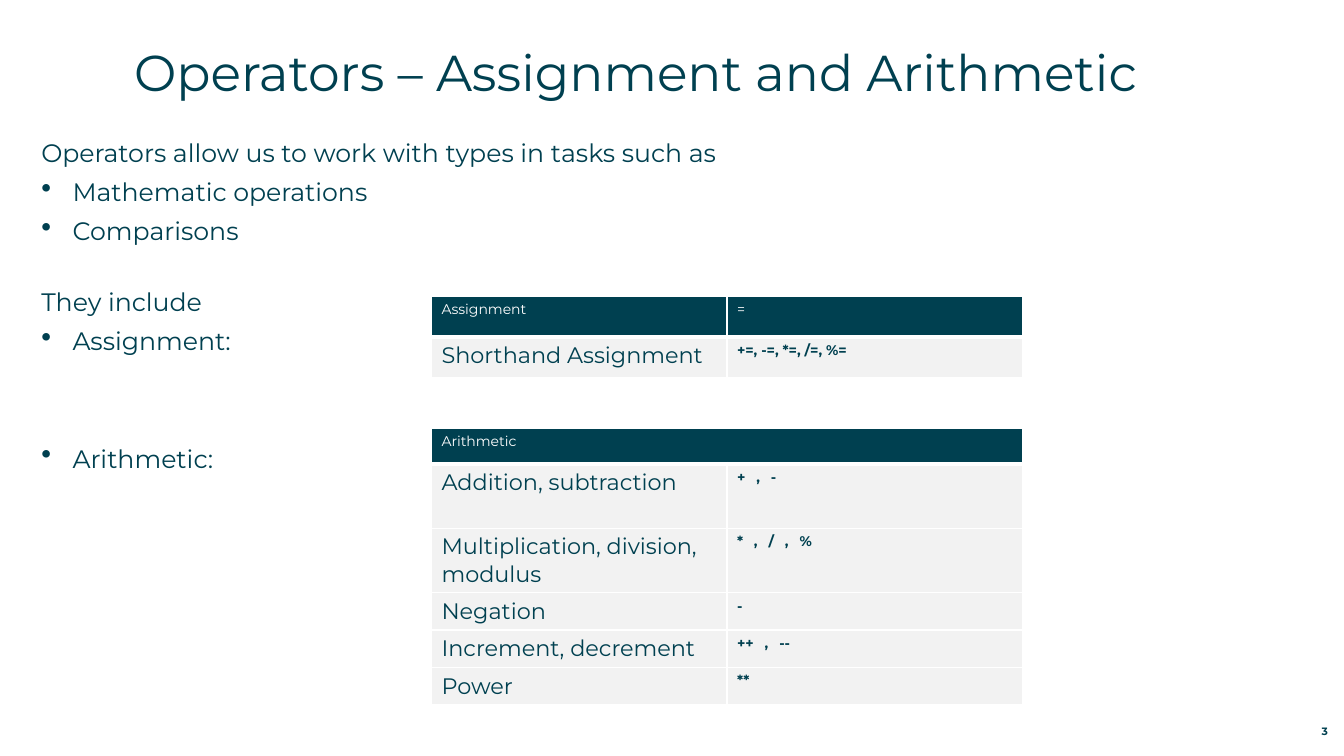
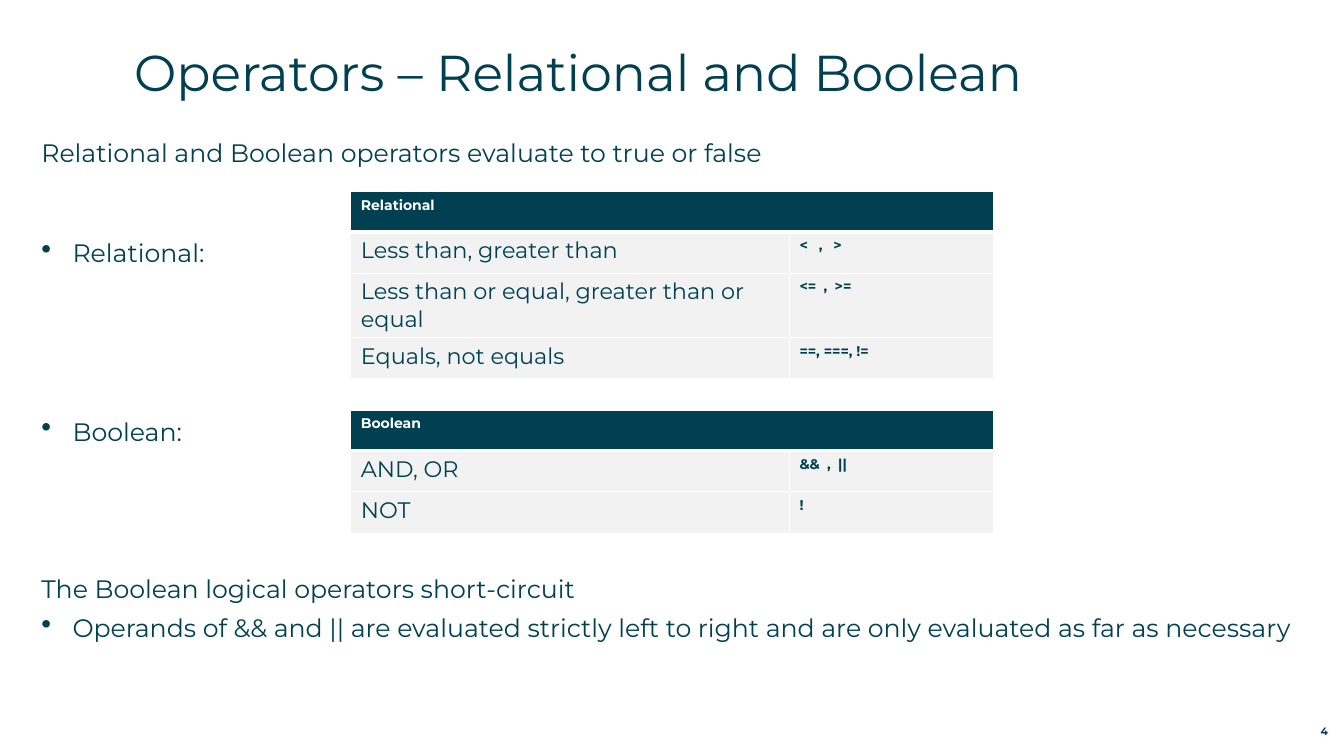
from dataclasses import dataclass

from lxml.etree import SubElement
from pptx import Presentation
from pptx.dml.color import RGBColor
from pptx.enum.text import MSO_ANCHOR, MSO_AUTO_SIZE, PP_ALIGN
from pptx.oxml.ns import qn
from pptx.util import Inches, Pt


@dataclass(frozen=True)
class Theme:
    font: str = "Montserrat"
    ink: str = "004050"
    paper: str = "FFFFFF"
    row: str = "F2F2F2"
    title: float = 36
    body: float = 18
    label: float = 16
    small: float = 10
    number: float = 7.6
    after: float = 6.5
    indent: float = 0.31


THEME = Theme()
WIDE, NARROW = 5, 2.5  # extra points after a space between operators


def add_run(para, text, size, color=THEME.ink, bold=False, gap=0):
    run = para.add_run()
    run.text = text
    font = run.font
    font.name, font.size, font.bold = THEME.font, Pt(size), bold
    font.color.rgb = RGBColor.from_string(color)
    if gap:
        font._element.set("spc", str(int(gap * 100)))


def add_signs(para, text, gap):
    """Write operators in bold, with the spaces between them widened by gap."""
    for i, sign in enumerate(text.split(" ")):
        if i:
            add_run(para, " ", THEME.small, bold=True, gap=gap)
        add_run(para, sign, THEME.small, bold=True)


def set_frame(shape, anchor=MSO_ANCHOR.TOP):
    frame = shape.text_frame
    frame.word_wrap = True
    frame.auto_size = MSO_AUTO_SIZE.NONE
    frame.vertical_anchor = anchor
    frame.margin_left = frame.margin_right = 0
    frame.margin_top = frame.margin_bottom = 0
    return frame


def add_box(slide, left, top, width, height, anchor=MSO_ANCHOR.TOP):
    box = slide.shapes.add_textbox(
        Inches(left), Inches(top), Inches(width), Inches(height))
    return set_frame(box, anchor)


def add_bullet(para):
    props = para._p.get_or_add_pPr()
    props.set("marL", str(Inches(THEME.indent)))
    props.set("indent", str(-Inches(THEME.indent)))
    SubElement(props, qn("a:buSzPct"), val="115000")
    SubElement(props, qn("a:buChar"), char="•")


def add_body(slide, lines):
    """Write lines of (text, is bullet, points of space before)."""
    frame = add_box(slide, 0.41, 1.36, 12.5, 5.73)
    for i, (text, bullet, before) in enumerate(lines):
        para = frame.add_paragraph() if i else frame.paragraphs[0]
        if bullet:
            add_bullet(para)
        if before:
            para.space_before = Pt(before)
        para.space_after = Pt(THEME.after)
        add_run(para, text, THEME.body)


def set_cell(cell, fill, base):
    """Give a cell its fill and white borders, the bottom one base points wide."""
    props = cell._tc.get_or_add_tcPr()
    for side, width in (("L", 1), ("R", 1), ("T", 1), ("B", base)):
        line = SubElement(props, qn(f"a:ln{side}"), w=str(Pt(width)))
        solid = SubElement(line, qn("a:solidFill"))
        SubElement(solid, qn("a:srgbClr"), val=THEME.paper)
    cell.fill.solid()
    cell.fill.fore_color.rgb = RGBColor.from_string(fill)


def add_grid(slide, left, top, widths, heights, head, rows, bold=False):
    """Add a table: head is one or two texts, rows are (label, signs, gap)."""
    table = slide.shapes.add_table(
        len(heights), len(widths), Inches(left), Inches(top),
        Inches(sum(widths)), Inches(sum(heights))).table
    table.horz_banding = False
    for column, width in zip(table.columns, widths):
        column.width = Inches(width)
    for i, (row, height) in enumerate(zip(table.rows, heights)):
        row.height = Inches(height)
        for cell in row.cells:
            set_cell(cell, THEME.row if i else THEME.ink, 1 if i else 3)
    for i, text in enumerate(head):
        para = table.cell(0, i).text_frame.paragraphs[0]
        add_run(para, text, THEME.small, THEME.paper, bold)
    if len(head) == 1:
        table.cell(0, 0).merge(table.cell(0, 1))
    for i, (label, signs, gap) in enumerate(rows, 1):
        name, mark = (table.cell(i, j).text_frame.paragraphs[0] for j in (0, 1))
        add_run(name, label, THEME.label)
        add_signs(mark, signs, gap)


def add_slide(deck, title, number):
    slide = deck.slides.add_slide(deck.slide_layouts[5])
    shape = slide.shapes.title
    shape.left, shape.top = Inches(1.33), Inches(0.41)
    shape.width, shape.height = Inches(11.59), Inches(0.57)
    para = set_frame(shape).paragraphs[0]
    para.alignment = PP_ALIGN.LEFT
    add_run(para, title, THEME.title)
    foot = add_box(slide, 12.31, 7.12, 0.86, 0.2, MSO_ANCHOR.BOTTOM).paragraphs[0]
    foot.alignment = PP_ALIGN.RIGHT
    add_run(foot, str(number), THEME.number, bold=True)
    return slide


def add_maths(deck):
    slide = add_slide(deck, "Operators – Assignment and Arithmetic", 3)
    add_body(slide, [
        ("Operators allow us to work with types in tasks such as", False, 0),
        ("Mathematic operations", True, 0),
        ("Comparisons", True, 0),
        ("They include", False, 22),
        ("Assignment:", True, 0),
        ("Arithmetic:", True, 56),
    ])
    left, widths = 4.28, (2.93, 2.93)
    add_grid(slide, left, 2.94, widths, [0.4, 0.41], ["Assignment", "="], [
        ("Shorthand Assignment", "+=, -=, *=, /=, %=", 0),
    ])
    heights = [0.35] + [0.64] * 2 + [0.37] * 3
    add_grid(slide, left, 4.25, widths, heights, ["Arithmetic"], [
        ("Addition, subtraction", "+ , -", WIDE),
        ("Multiplication, division, modulus", "* , / , %", WIDE),
        ("Negation", "-", 0),
        ("Increment, decrement", "++ , --", WIDE),
        ("Power", "**", 0),
    ])


def add_logic(deck):
    slide = add_slide(deck, "Operators – Relational and Boolean", 4)
    add_body(slide, [
        ("Relational and Boolean operators evaluate to true or false", False, 0),
        ("Relational:", True, 43.5),
        ("Boolean:", True, 99.5),
        ("The Boolean logical operators short-circuit", False, 84),
        ("Operands of && and || are evaluated strictly left to right "
         "and are only evaluated as far as necessary", True, 0),
    ])
    left, widths = 3.48, (4.35, 2.03)
    heights = [0.4, 0.41, 0.64, 0.41]
    add_grid(slide, left, 1.9, widths, heights, ["Relational"], [
        ("Less than, greater than", "< , >", WIDE),
        ("Less than or equal, greater than or equal", "<= , >=", NARROW),
        ("Equals, not equals", "==, ===, !=", 0),
    ], bold=True)
    add_grid(slide, left, 4.07, widths, [0.4, 0.41, 0.41], ["Boolean"], [
        ("AND, OR", "&& , ||", NARROW),
        ("NOT", "!", 0),
    ], bold=True)


def main():
    deck = Presentation()
    deck.slide_width, deck.slide_height = Inches(13.33), Inches(7.5)
    add_maths(deck)
    add_logic(deck)
    deck.save("out.pptx")


if __name__ == "__main__":
    main()
